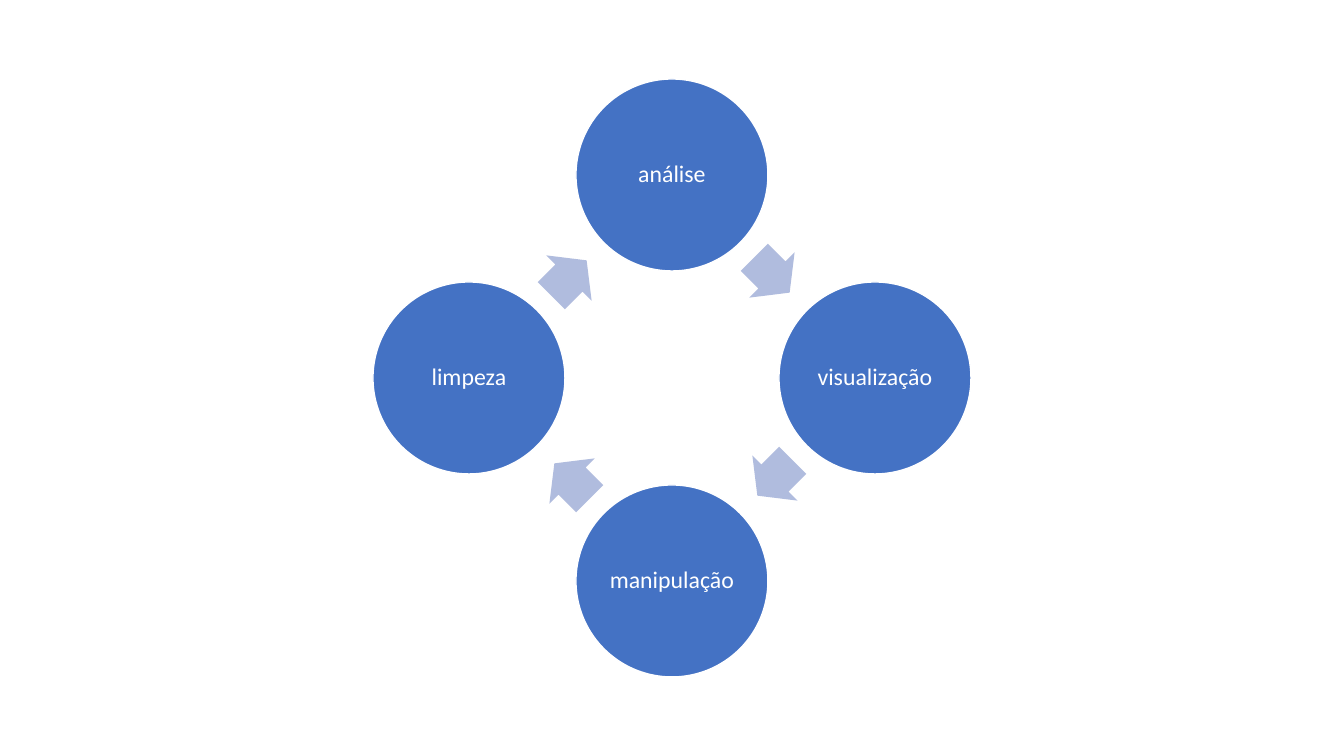
from pptx import Presentation
from pptx.dml.color import RGBColor
from pptx.enum.shapes import MSO_SHAPE
from pptx.enum.text import MSO_ANCHOR, PP_ALIGN
from pptx.util import Emu, Pt

SLIDE_WIDTH, SLIDE_HEIGHT = 1344, 756
EMU_PER_PX = 12192000 / SLIDE_WIDTH
STAGES = ["análise", "visualização", "manipulação", "limpeza"]


def px(length):
    return Emu(round(length * EMU_PER_PX))


def color(hex_code):
    return RGBColor.from_string(hex_code)


def quarter_turn(offset):
    """Turn an offset from the cycle's centre 90 degrees clockwise."""
    x, y = offset
    return -y, x


class CycleSlide:
    font_name = "Calibri"
    font_size = 17
    stage_fill = "4472C4"
    arrow_fill = "B0BCDE"
    white = "FFFFFF"
    stage_diameter = 192
    arrow_length, arrow_breadth = 50, 64
    inset = 2

    def __init__(self, slide):
        self.slide = slide

    def centered_shape(self, kind, offset, width, height, fill):
        """Place a shape whose middle lies at an offset from the slide's middle."""
        left = SLIDE_WIDTH // 2 + offset[0] - width // 2
        top = SLIDE_HEIGHT // 2 + offset[1] - height // 2
        shape = self.slide.shapes.add_shape(
            kind, px(left), px(top), px(width), px(height))
        shape.shadow.inherit = False
        shape.fill.solid()
        shape.fill.fore_color.rgb = color(fill)
        return shape

    def stage(self, label, offset):
        circle = self.centered_shape(
            MSO_SHAPE.OVAL, offset, self.stage_diameter, self.stage_diameter, self.stage_fill)
        circle.line.color.rgb = color(self.white)
        circle.line.width = Pt(1)
        frame = circle.text_frame
        frame.word_wrap = True
        frame.vertical_anchor = MSO_ANCHOR.MIDDLE
        frame.margin_left = frame.margin_right = px(self.inset)
        frame.margin_top = frame.margin_bottom = px(self.inset)
        paragraph = frame.paragraphs[0]
        paragraph.text = label
        paragraph.alignment = PP_ALIGN.CENTER
        paragraph.line_spacing = 0.9
        paragraph.font.name = self.font_name
        paragraph.font.size = Pt(self.font_size)
        paragraph.font.color.rgb = color(self.white)

    def arrow(self, offset, rotation):
        arrow = self.centered_shape(
            MSO_SHAPE.RIGHT_ARROW, offset, self.arrow_length, self.arrow_breadth, self.arrow_fill)
        arrow.line.fill.background()
        arrow.adjustments[0] = 0.6
        arrow.adjustments[1] = 0.5
        arrow.rotation = rotation


def main():
    presentation = Presentation()
    presentation.slide_width = px(SLIDE_WIDTH)
    presentation.slide_height = px(SLIDE_HEIGHT)
    cycle = CycleSlide(presentation.slides.add_slide(presentation.slide_layouts[6]))

    stage_offset = (0, -203)
    arrow_offset = (100, -103)
    for index, label in enumerate(STAGES):
        cycle.stage(label, stage_offset)
        cycle.arrow(arrow_offset, 45 + 90 * index)
        stage_offset = quarter_turn(stage_offset)
        arrow_offset = quarter_turn(arrow_offset)

    presentation.save("out.pptx")


if __name__ == "__main__":
    main()
